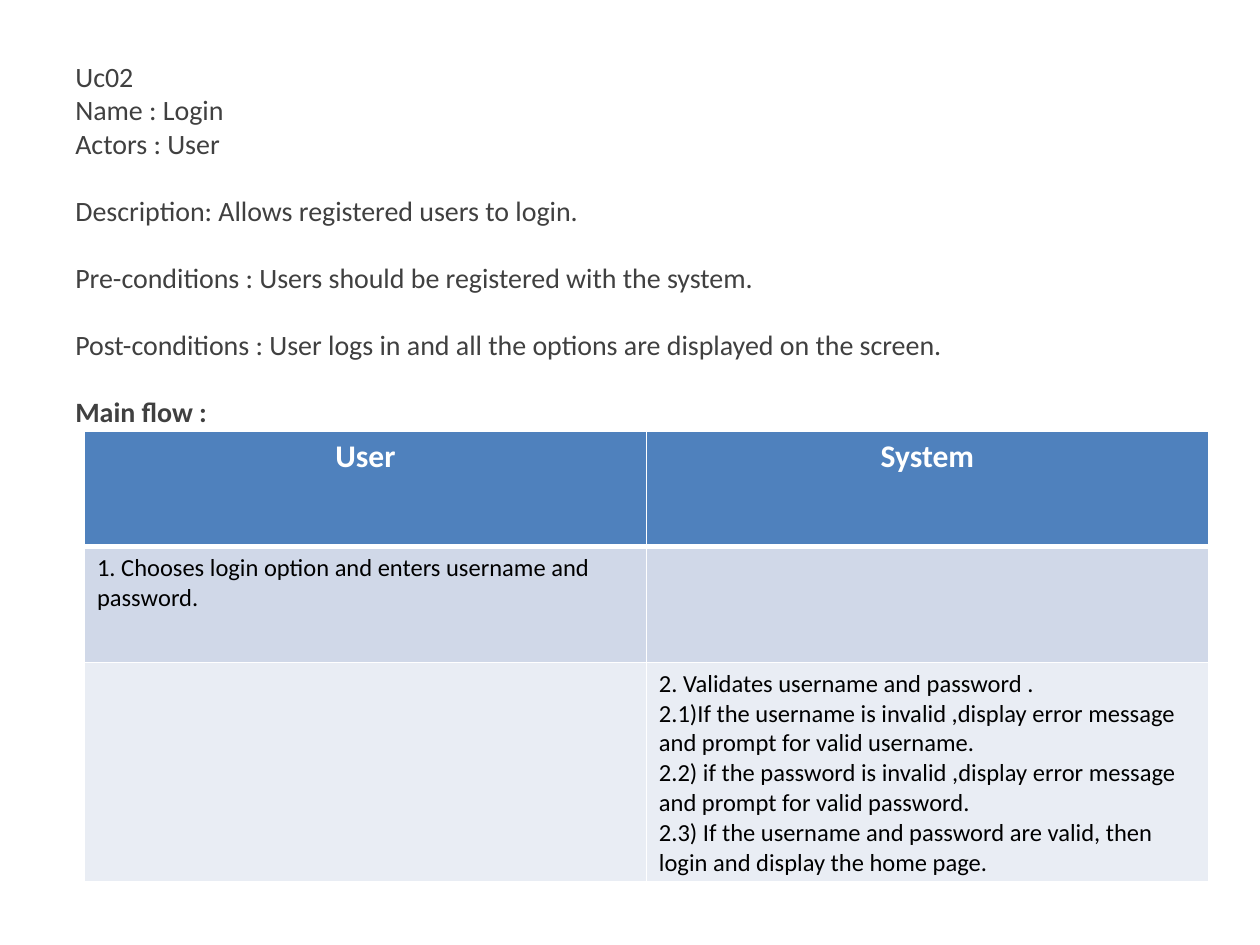
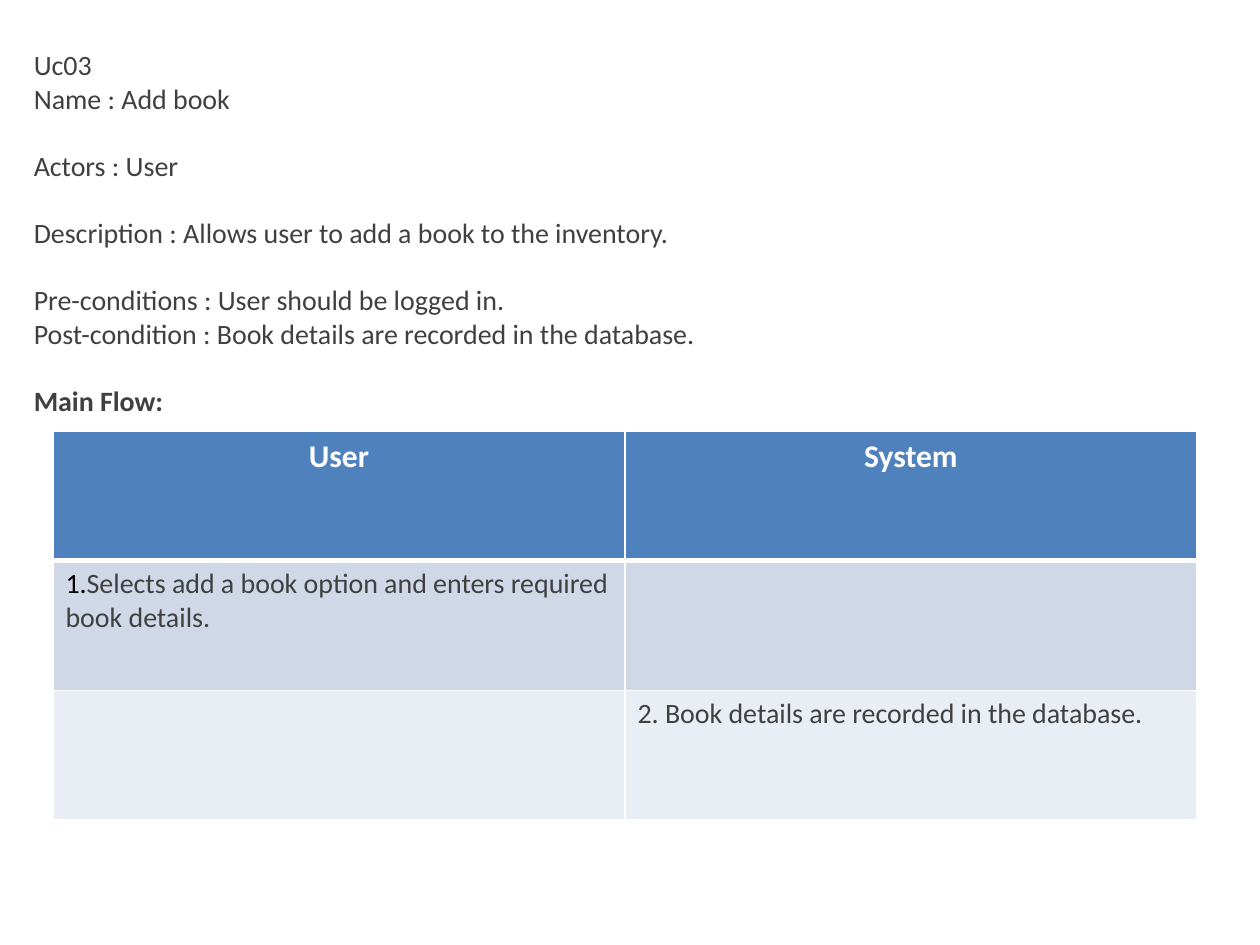
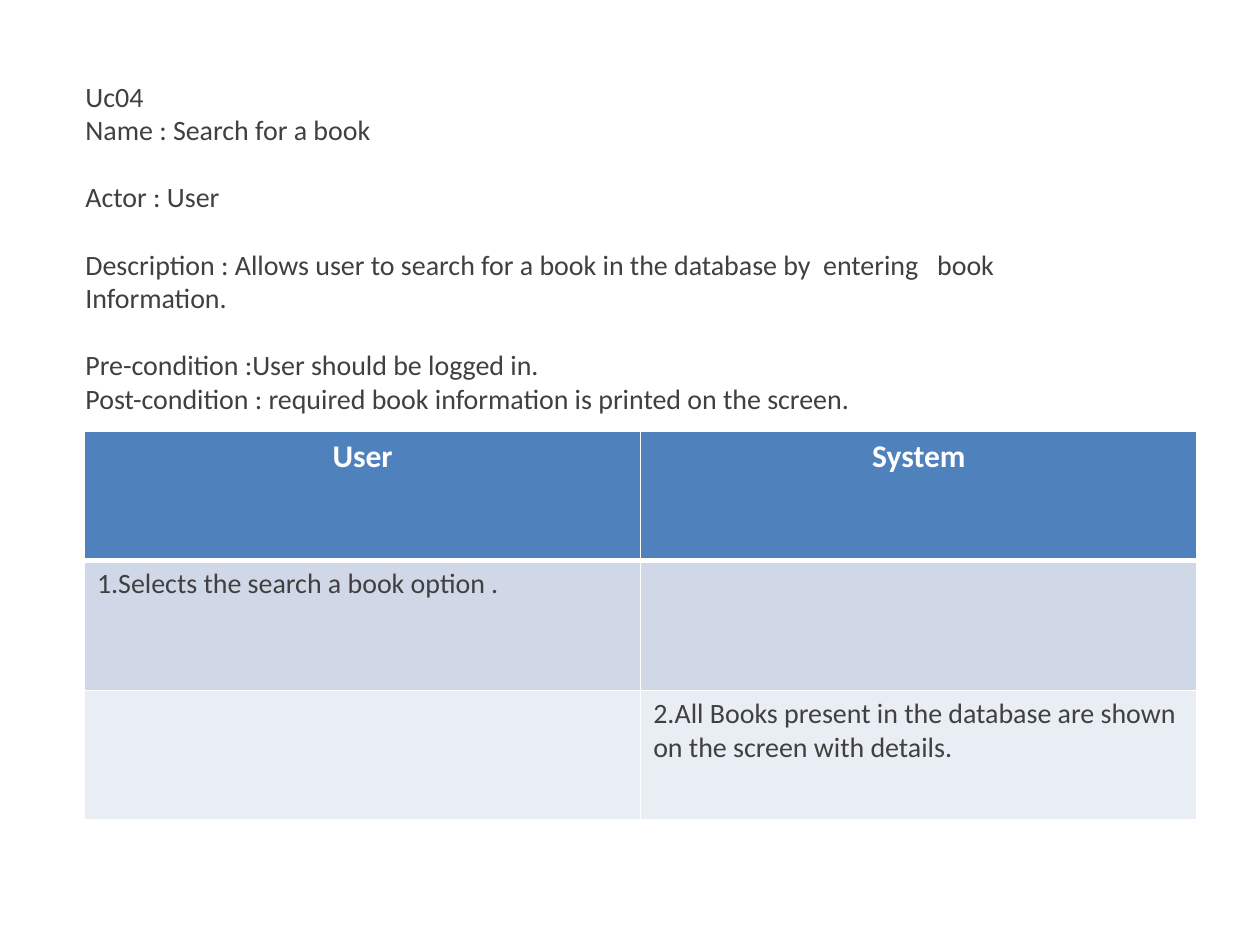
from lxml.etree import SubElement
from pptx import Presentation
from pptx.dml.color import RGBColor
from pptx.enum.text import MSO_AUTO_SIZE, PP_ALIGN
from pptx.oxml.ns import qn
from pptx.util import Inches, Pt

WHITE = "FFFFFF"
BLACK = "000000"
GREY = "404040"
HEADER_BLUE = "4F81BD"
USER_ROW = "D0D8E8"
SYSTEM_ROW = "E9EDF4"


def colour(hex_code):
    return RGBColor.from_string(hex_code)


class UseCaseDeck:
    font_name = "Calibri"
    detail_size = 16
    header_size = 18
    group_gap = 19.2
    flow_top = 3.42

    def __init__(self):
        self.presentation = Presentation()
        self.presentation.slide_width = Inches(10)
        self.presentation.slide_height = Inches(7.5)
        self.slide = None

    def new_slide(self):
        self.slide = self.presentation.slides.add_slide(self.presentation.slide_layouts[6])

    def style(self, paragraph, size, hex_code, bold=False):
        paragraph.font.name = self.font_name
        paragraph.font.size = Pt(size)
        paragraph.font.bold = bold
        paragraph.font.color.rgb = colour(hex_code)

    def details(self, left, top, width, height, groups, heading=None):
        box = self.slide.shapes.add_textbox(*map(Inches, (left, top, width, height)))
        frame = box.text_frame
        frame.word_wrap = True
        frame.auto_size = MSO_AUTO_SIZE.SHAPE_TO_FIT_TEXT
        all_groups = groups + ([[heading]] if heading else [])
        for group_index, group in enumerate(all_groups):
            for line_index, line in enumerate(group):
                first = group_index == line_index == 0
                paragraph = frame.paragraphs[0] if first else frame.add_paragraph()
                paragraph.text = line
                self.style(paragraph, self.detail_size, GREY, line == heading)
                if group_index and line_index == 0:
                    paragraph.space_before = Pt(self.group_gap)

    def borders(self, cell, bottom_width):
        properties = cell._tc.get_or_add_tcPr()
        for side, width in (("L", 1), ("R", 1), ("T", 1), ("B", bottom_width)):
            line = SubElement(properties, qn(f"a:ln{side}"), w=str(Pt(width)))
            fill = SubElement(line, qn("a:solidFill"))
            SubElement(fill, qn("a:srgbClr"), val=WHITE)

    def flow(self, left, width, row_heights, user_step, system_steps, size=16, text_colour=GREY):
        frame = self.slide.shapes.add_table(
            3, 2, *map(Inches, (left, self.flow_top, width, sum(row_heights))))
        table = frame.table
        for column in table.columns:
            column.width = Inches(width / 2)
        for row_index, (height, row_fill) in enumerate(
                zip(row_heights, (HEADER_BLUE, USER_ROW, SYSTEM_ROW))):
            table.rows[row_index].height = Inches(height)
            for column_index in range(2):
                cell = table.cell(row_index, column_index)
                self.borders(cell, 3 if row_index == 0 else 1)
                cell.fill.solid()
                cell.fill.fore_color.rgb = colour(row_fill)
        for column_index, actor in enumerate(("User", "System")):
            cell = table.cell(0, column_index)
            cell.text = actor
            header = cell.text_frame.paragraphs[0]
            header.alignment = PP_ALIGN.CENTER
            self.style(header, self.header_size, WHITE, True)
        for position, steps in (((1, 0), [user_step]), ((2, 1), system_steps)):
            cell = table.cell(*position)
            cell.text = "\n".join(steps)
            for paragraph in cell.text_frame.paragraphs:
                self.style(paragraph, size, text_colour)
        return table


def login_slide(deck):
    deck.new_slide()
    deck.details(0.5, 0.42, 9, 3.06, [
        ["Uc02", "Name : Login", "Actors : User"],
        ["Description: Allows registered users to login."],
        ["Pre-conditions : Users should be registered with the system."],
        ["Post-conditions : User logs in and all the options are displayed on the screen."],
    ], "Main flow :")
    deck.flow(0.67, 8.92, (0.92, 0.92, 1.73),
              "1. Chooses login option and enters username and password.", [
                  "2. Validates username and password .",
                  "2.1)If the username is invalid ,display error message and prompt for valid username.",
                  "2.2) if the password is invalid ,display error message and prompt for valid password.",
                  "2.3) If the username and password are valid, then login and display the home page.",
              ], size=14, text_colour=BLACK)


def add_book_slide(deck):
    deck.new_slide()
    deck.details(0.17, 0.33, 9, 3.06, [
        ["Uc03", "Name : Add book"],
        ["Actors : User"],
        ["Description : Allows user to add a book to the inventory."],
        ["Pre-conditions : User should be logged in.",
         "Post-condition : Book details are recorded in the database."],
    ], "Main Flow:")
    table = deck.flow(0.42, 9.08, (1.03,) * 3, "1.",
                      ["2. Book details are recorded in the database."])
    step = table.cell(1, 0).text_frame.paragraphs[0]
    step.runs[0].font.color.rgb = colour(BLACK)
    action = step.add_run()
    action.text = "Selects add a book option and enters required book details."
    action.font.color.rgb = colour(GREY)


def search_slide(deck):
    deck.new_slide()
    deck.details(0.58, 0.58, 8.92, 3.1, [
        ["Uc04", "Name : Search for a book"],
        ["Actor : User"],
        ["Description : Allows user to search for a book in the database by  entering   book\vInformation."],
        ["Pre-condition :User should be logged in.",
         "Post-condition : required book information is printed on the screen."],
    ])
    deck.flow(0.67, 8.83, (1.03,) * 3, "1.Selects the search a book option .",
              ["2.All Books present in the database are shown on the screen with details."])


def main():
    deck = UseCaseDeck()
    login_slide(deck)
    add_book_slide(deck)
    search_slide(deck)
    deck.presentation.save("out.pptx")


if __name__ == "__main__":
    main()
